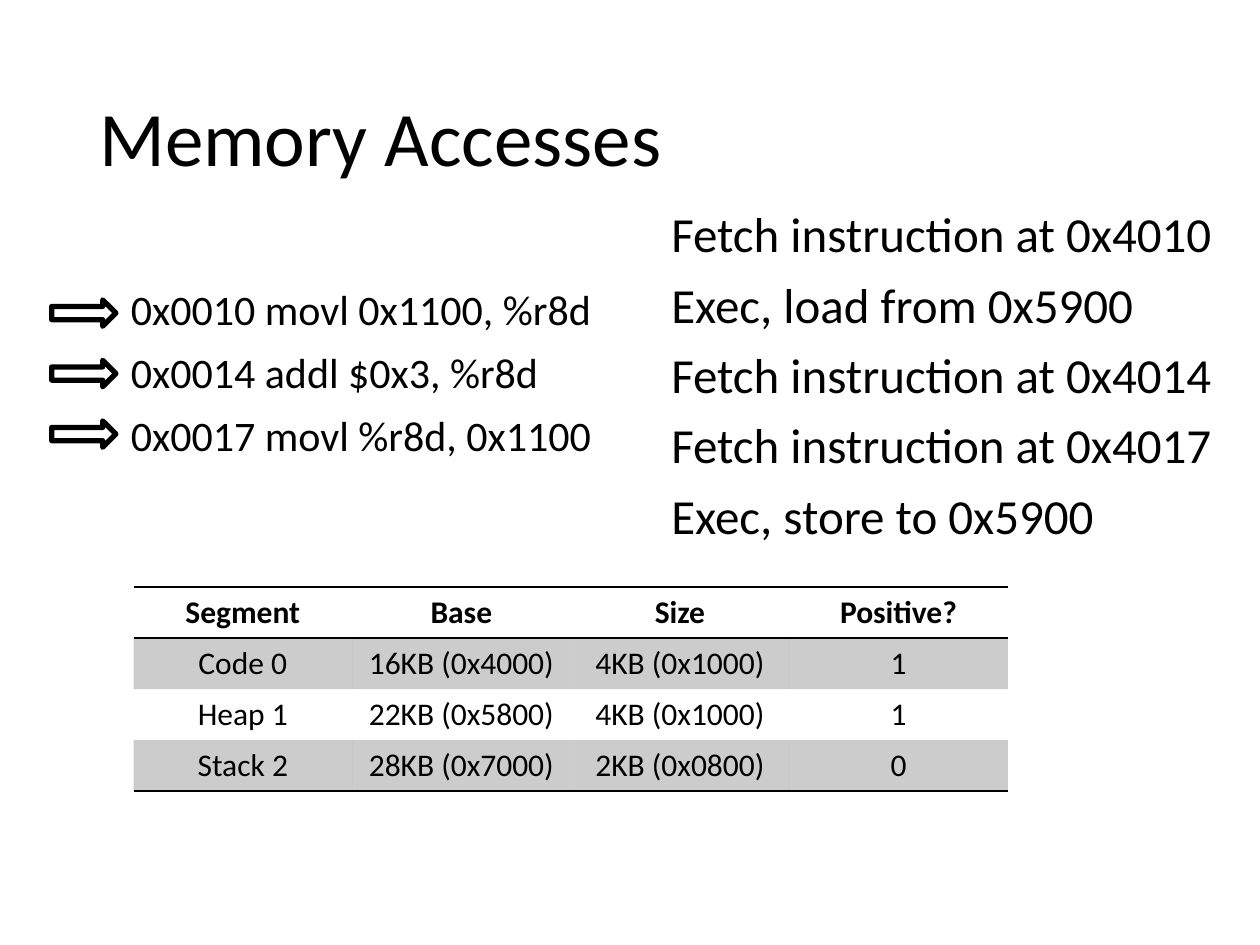
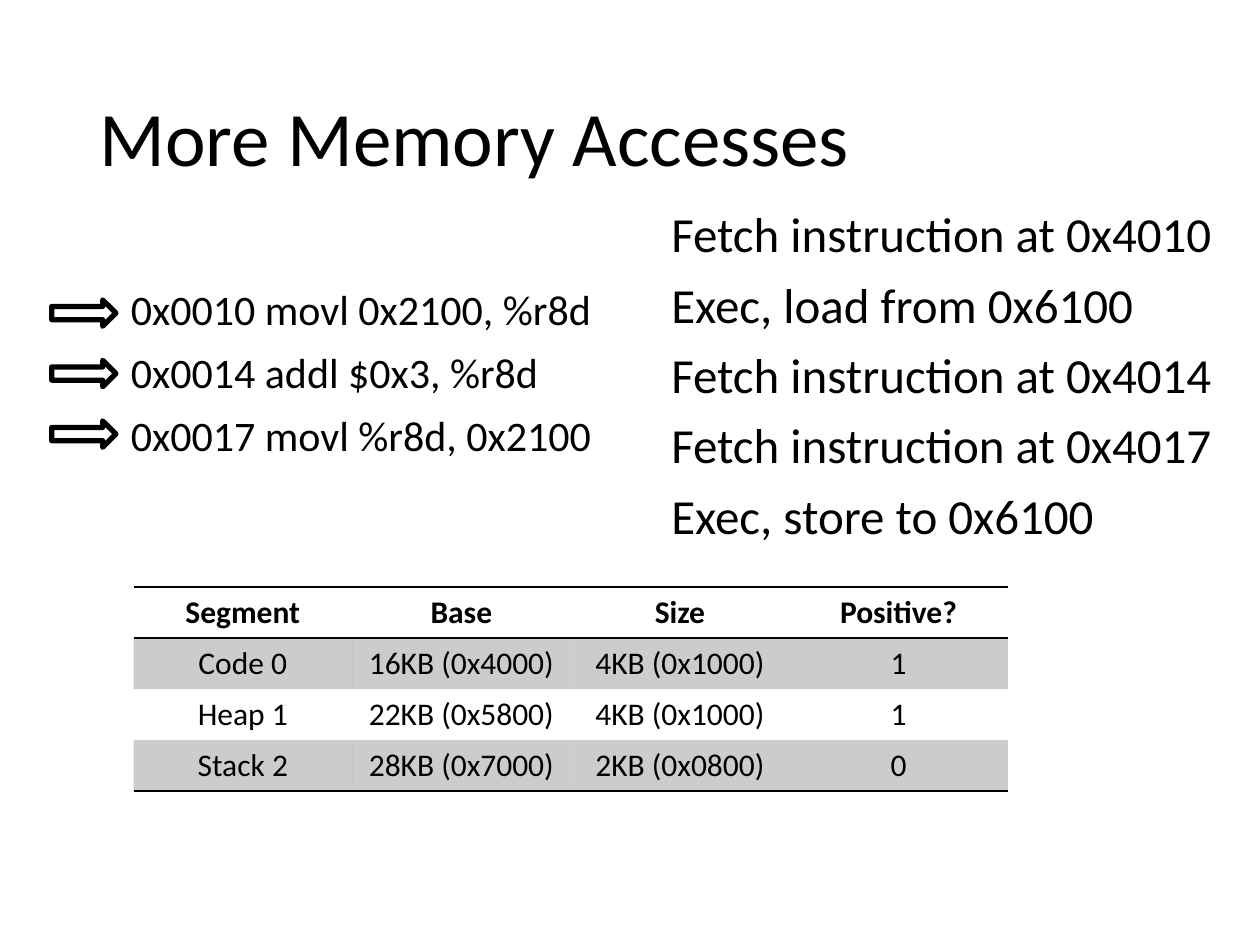
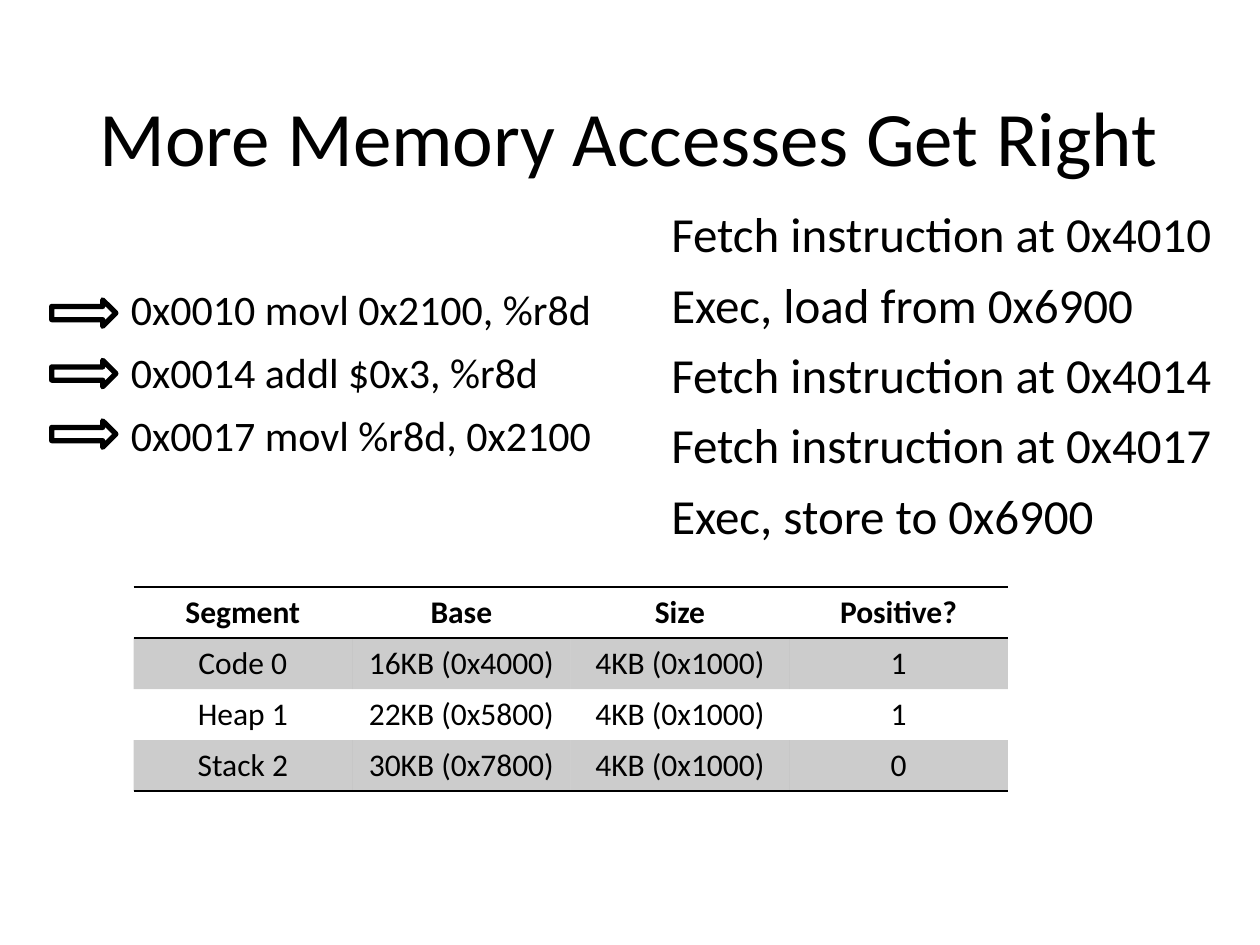
from dataclasses import dataclass

from lxml import etree
from pptx import Presentation
from pptx.dml.color import RGBColor
from pptx.enum.shapes import MSO_SHAPE
from pptx.enum.text import MSO_ANCHOR, PP_ALIGN
from pptx.oxml.ns import qn
from pptx.util import Inches, Pt

ARROW = MSO_SHAPE.RIGHT_ARROW
TOP, MIDDLE = MSO_ANCHOR.TOP, MSO_ANCHOR.MIDDLE
LEFT, CENTER = PP_ALIGN.LEFT, PP_ALIGN.CENTER
BLANK = 6


@dataclass(frozen=True)
class Theme:
    face: str = "Calibri"
    ink: str = "000000"
    title: int = 44
    body: int = 28
    code: int = 24
    cell: int = 18
    rule: int = 1
    edge: int = 3
    tint: int = 20
    lead: float = 0.9
    gap: int = 10


THEME = Theme()
INK = RGBColor.from_string(THEME.ink)

HEAD = ("Segment", "Base", "Size", "Positive?")
CODE = ("Code 0", "16KB (0x4000)", "4KB (0x1000)", "1")
HEAP = ("Heap 1", "22KB (0x5800)", "4KB (0x1000)", "1")
STACK = ("Stack 2", "28KB (0x7000)", "2KB (0x0800)", "0")
GROWN = ("Stack 2", "30KB (0x7800)", "4KB (0x1000)", "0")

# title, virtual address, physical address, stack row
CASES = (
    ("Memory Accesses", "0x1100", "0x5900", STACK),
    ("More Memory Accesses", "0x2100", "0x6100", STACK),
    ("More Memory Accesses Get Right", "0x2100", "0x6900", GROWN),
)


def place(*sizes):
    return [Inches(size) for size in sizes]


def apply(target, values):
    for name, value in values.items():
        setattr(target, name, value)


def style(para, size, bold=False, **layout):
    apply(para, layout)
    apply(para.font, {"name": THEME.face, "size": Pt(size), "bold": bold})
    para.font.color.rgb = INK


def add_text(slide, box, lines, size, anchor=TOP):
    frame = slide.shapes.add_textbox(*place(*box)).text_frame
    apply(frame, {"word_wrap": True, "vertical_anchor": anchor})
    frame.text = "\n".join(lines)
    for i, para in enumerate(frame.paragraphs):
        style(para, size, alignment=LEFT, line_spacing=THEME.lead,
              space_before=Pt(THEME.gap if i else 0))


def add_arrow(slide, top):
    arrow = slide.shapes.add_shape(ARROW, *place(0.41, top, 0.51, 0.21))
    arrow.shadow.inherit = False
    arrow.fill.background()
    arrow.line.color.rgb = INK
    arrow.line.width = Pt(THEME.edge)


def set_rules(cell, sides):
    """Draw the named cell borders (L, R, T, B) and clear the others."""
    props = cell._tc.get_or_add_tcPr()
    for side in "LRTB":
        line = etree.SubElement(props, qn(f"a:ln{side}"))
        if side in sides:
            line.set("w", str(Pt(THEME.rule)))
            fill = etree.SubElement(line, qn("a:solidFill"))
            etree.SubElement(fill, qn("a:srgbClr"), val=THEME.ink)
        else:
            etree.SubElement(line, qn("a:noFill"))


def set_tint(cell):
    cell.fill.solid()
    cell.fill.fore_color.rgb = INK
    color = cell._tc.tcPr.find(f"{qn('a:solidFill')}/{qn('a:srgbClr')}")
    etree.SubElement(color, qn("a:alpha"), val=str(THEME.tint * 1000))


def add_grid(slide, rows):
    box = place(1.06, 4.66, 6.94, 1.62)
    table = slide.shapes.add_table(len(rows), len(HEAD), *box).table
    apply(table, {"first_row": False, "horz_banding": False})
    rules = {0: "TB", 1: "T", len(rows) - 1: "B"}
    for r, row in enumerate(rows):
        for c, text in enumerate(row):
            cell = table.cell(r, c)
            cell.text = text
            style(cell.text_frame.paragraphs[0], THEME.cell, r == 0,
                  alignment=CENTER)
            set_rules(cell, rules.get(r, ""))
            if r % 2:
                set_tint(cell)
            else:
                cell.fill.background()


def add_case(deck, title, addr, phys, stack):
    slide = deck.slides.add_slide(deck.slide_layouts[BLANK])
    steps = (
        "Fetch instruction at 0x4010",
        f"Exec, load from {phys}",
        "Fetch instruction at 0x4014",
        "Fetch instruction at 0x4017",
        f"Exec, store to {phys}",
    )
    code = (
        f"0x0010 movl {addr}, %r8d",
        "0x0014 addl $0x3, %r8d",
        f"0x0017 movl %r8d, {addr}",
    )
    add_text(slide, (0.69, 0.4, 8.62, 1.45), [title], THEME.title, MIDDLE)
    add_text(slide, (5.23, 1.62, 4.51, 4.76), steps, THEME.body)
    add_text(slide, (0.94, 2.25, 4.21, 1.66), code, THEME.code)
    for i in range(len(code)):
        add_arrow(slide, 2.38 + 0.48 * i)
    add_grid(slide, (HEAD, CODE, HEAP, stack))


def main():
    deck = Presentation()
    apply(deck, {"slide_width": Inches(10), "slide_height": Inches(7.5)})
    for case in CASES:
        add_case(deck, *case)
    deck.save("out.pptx")


if __name__ == "__main__":
    main()
